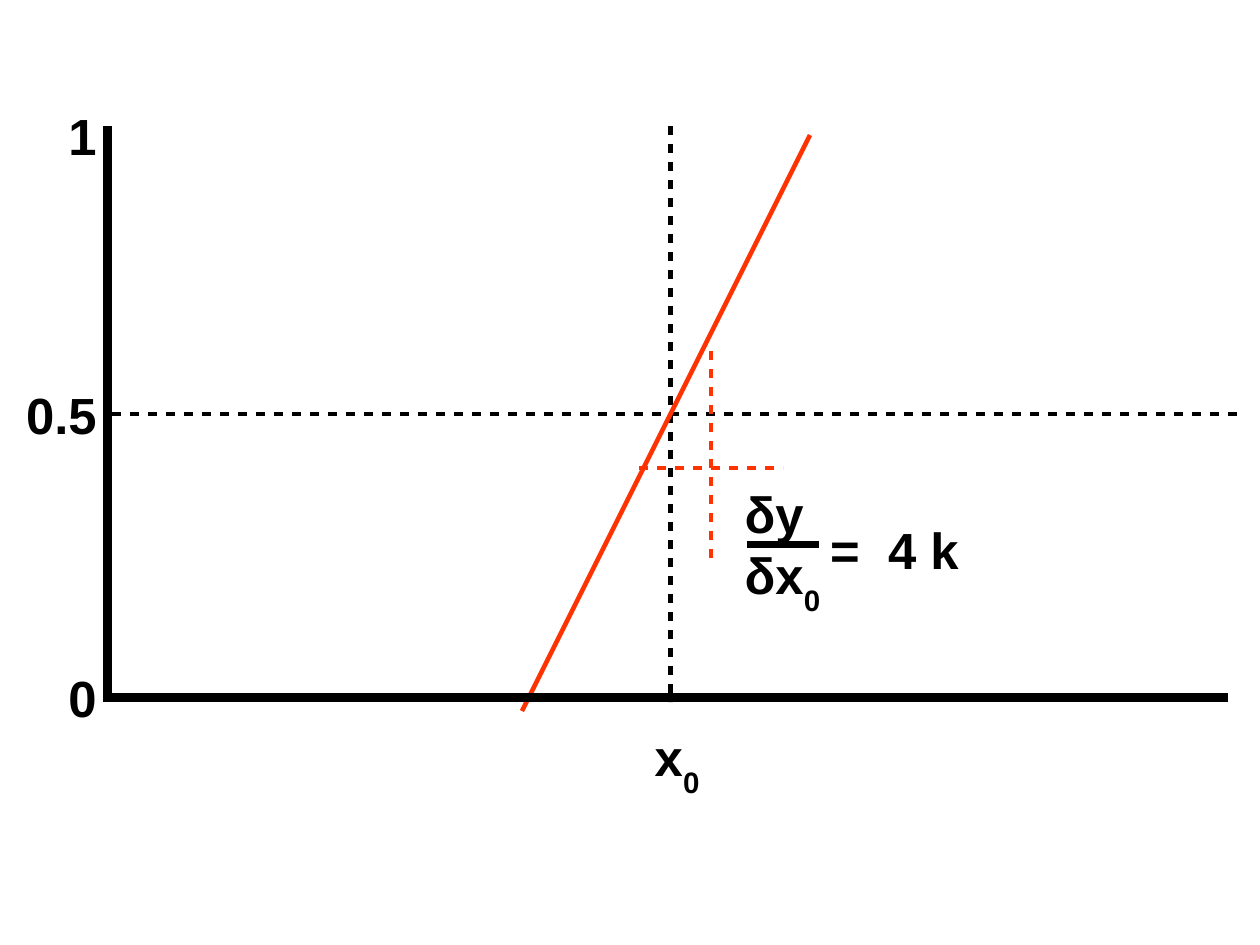
import pptx
import pptx.dml.color
import pptx.enum.shapes
import pptx.enum.text
import pptx.oxml
import pptx.oxml.ns
import pptx.util
from lxml import etree

COLUMNS, ROWS = 28, 21
CELL = pptx.util.Cm(1)
COLORS = {"ink": "000000", "slope": "FF3300"}
THIN, BAR, AXIS = 2.83, 4.25, 5.67
X_ZERO, Y_HALF = 14.9, 9.2
AXIS_X, AXIS_Y = 2.4, 15.5
AXIS_TOP, AXIS_END = 2.8, 15.6
LEFT = pptx.enum.text.PP_ALIGN.LEFT
RIGHT = pptx.enum.text.PP_ALIGN.RIGHT


def cells(n):
    return round(n * CELL)


def rgb(name):
    return pptx.dml.color.RGBColor.from_string(COLORS[name])


def add_line(slide, start, end, color="ink", width=THIN, dashed=False):
    """Draw a straight line between two (column, row) points."""
    line = slide.shapes.add_connector(
        pptx.enum.shapes.MSO_CONNECTOR.STRAIGHT,
        *[cells(n) for n in (*start, *end)])
    line.line.color.rgb = rgb(color)
    line.line.width = pptx.util.Pt(width)
    if dashed:
        ns = pptx.oxml.ns.nsdecls("a")
        line.line._get_or_add_ln().append(pptx.oxml.parse_xml(
            f'<a:custDash {ns}><a:ds d="200000" sp="200000"/></a:custDash>'))
    etree.SubElement(line._element.spPr, pptx.oxml.ns.qn("a:effectLst"))


def add_label(slide, box, paragraphs, align=LEFT):
    """Add bold text; each paragraph is a (text, subscript) pair."""
    sp = slide.shapes.add_textbox(*[cells(n) for n in box])
    tf = sp.text_frame
    tf.word_wrap = True
    for i, (text, subscript) in enumerate(paragraphs):
        p = tf.add_paragraph() if i else tf.paragraphs[0]
        p.text = text
        p.alignment = align
        if subscript:
            r = p.add_run()
            r.text = subscript
            r._r.get_or_add_rPr().set("baseline", "-33000")
        for r in p.runs:
            r.font.name = "Arial"
            r.font.size = pptx.util.Pt(32)
            r.font.bold = True
            r.font.color.rgb = rgb("ink")


def add_axes(slide):
    add_line(slide, (AXIS_X, AXIS_TOP), (AXIS_X, AXIS_END), width=AXIS)
    add_line(slide, (27.3, AXIS_Y), (AXIS_X, AXIS_Y), width=AXIS)
    add_label(slide, (14.3, 16, 2.4, 1.78), [("x", "0")])
    for text, row in (("0", 14.7), ("1", 2.2), ("0.5", 8.4)):
        add_label(slide, (0, row, AXIS_X, 1.52), [(text, "")], RIGHT)


def add_derivative(slide):
    add_label(slide, (16.3, 10.6, 2.4, 3.05), [("δy", ""), ("δx", "0")])
    add_label(slide, (18.2, 11.4, 4.4, 4.04), [("=  4 k", "")])
    add_line(slide, (16.6, 12.1), (18.2, 12.1), width=BAR)


def main():
    prs = pptx.Presentation()
    prs.slide_width, prs.slide_height = cells(COLUMNS), cells(ROWS)
    slide = prs.slides.add_slide(prs.slide_layouts[6])
    add_line(slide, (2.5, Y_HALF), (27.5, Y_HALF), dashed=True)
    add_line(slide, (X_ZERO, AXIS_TOP), (X_ZERO, AXIS_END), dashed=True)
    add_line(slide, (18, 3), (11.6, 15.8), "slope")
    add_axes(slide)
    add_line(slide, (14.2, 10.4), (17.4, 10.4), "slope", dashed=True)
    add_line(slide, (15.8, 7.8), (15.8, 12.4), "slope", dashed=True)
    add_derivative(slide)
    prs.save("out.pptx")


if __name__ == "__main__":
    main()
